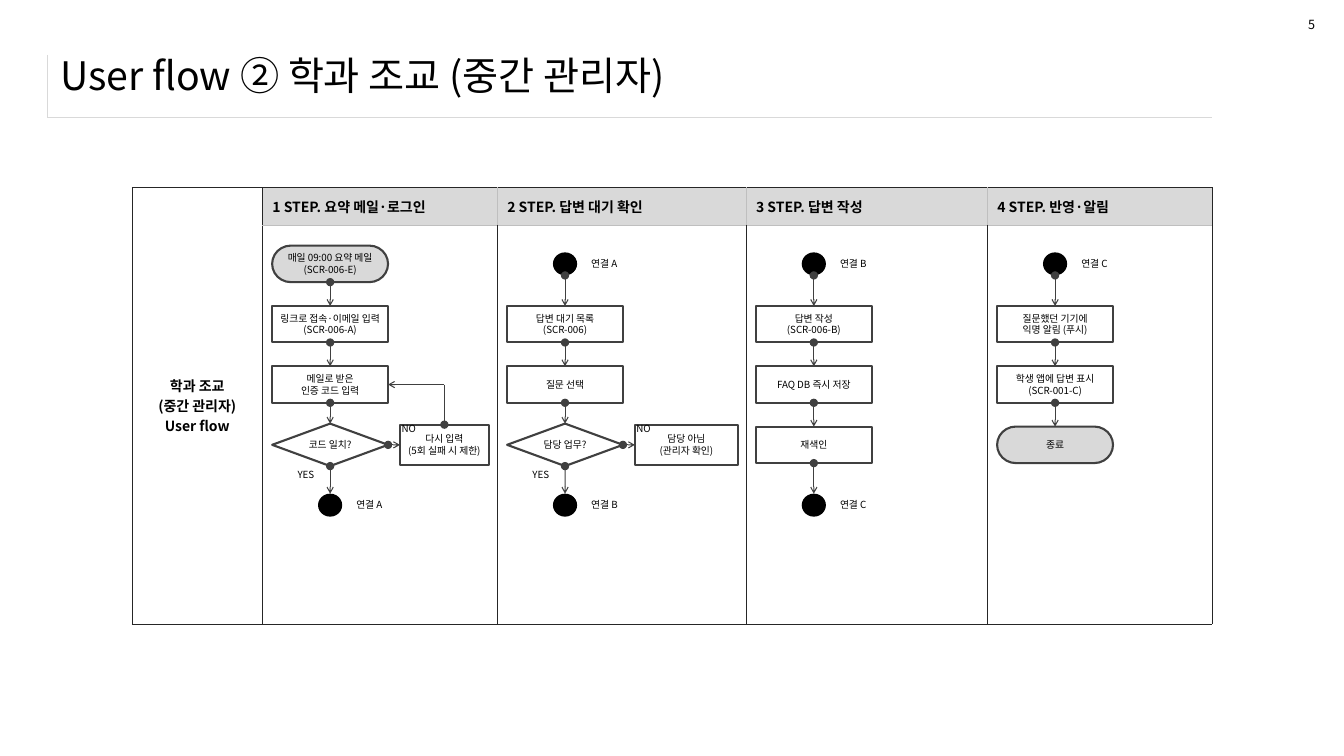
from dataclasses import dataclass
from itertools import accumulate

from lxml.etree import SubElement
from pptx import Presentation
from pptx.dml.color import RGBColor
from pptx.enum.shapes import MSO_CONNECTOR, MSO_SHAPE as Preset
from pptx.enum.text import MSO_ANCHOR as Anchor, MSO_AUTO_SIZE as AutoSize, PP_ALIGN as Align
from pptx.oxml.ns import qn
from pptx.util import Cm, Pt


@dataclass(frozen=True)
class Theme:
    font: str = "Noto Sans CJK KR"
    ink: str = "000000"
    paper: str = "FFFFFF"
    shade: str = "D9D9D9"
    outline: str = "404040"
    grid: str = "262626"
    soft_grid: str = "BFBFBF"
    title: float = 28
    heading: float = 10
    number: float = 9
    small: float = 7


theme = Theme()

deck = Presentation()
deck.slide_width, deck.slide_height = Cm(33.87), Cm(19.05)
page = deck.slides.add_slide(deck.slide_layouts[5])
shapes = page.shapes


def write(frame, lines, size, bold=False, align=Align.LEFT, **layout):
    """Fill a text frame with one paragraph per line; layout holds frame attributes."""
    for name, value in layout.items():
        setattr(frame, name, value)
    for index, line in enumerate(lines):
        para = frame.add_paragraph() if index else frame.paragraphs[0]
        para.alignment = align
        span = para.add_run()
        span.text = line
        for name, value in {"name": theme.font, "size": Pt(size), "bold": bold}.items():
            setattr(span.font, name, value)
        span.font.color.rgb = RGBColor.from_string(theme.ink)
        SubElement(span.font._element, qn("a:ea"), typeface=theme.font)


def add_node(kind, lines, center, middle, width, height):
    preset, fill = kinds[kind]
    node = shapes.add_shape(preset, Cm(center - width / 2), Cm(middle - height / 2),
                            Cm(width), Cm(height))
    node.shadow.inherit = False
    node.fill.solid()
    node.fill.fore_color.rgb = RGBColor.from_string(fill)
    if kind == "dot":
        node.line.fill.background()
        return node
    node.line.color.rgb = RGBColor.from_string(theme.outline)
    node.line.width = Pt(1.5)
    write(node.text_frame, lines, theme.small, align=Align.CENTER, word_wrap=True,
          vertical_anchor=Anchor.MIDDLE, margin_left=Cm(0.08), margin_right=Cm(0.08))
    return node


# Title
title = shapes.title
for name, value in {"left": Cm(1.27), "top": Cm(1.04), "width": Cm(31.72), "height": Cm(1.7)}.items():
    setattr(title, name, value)
write(title.text_frame, ["User flow ② 학과 조교 (중간 관리자)"], theme.title,
      word_wrap=True, auto_size=AutoSize.NONE, vertical_anchor=Anchor.MIDDLE)

# Title rule and step table
title_rule = shapes.add_table(1, 1, Cm(1.19), Cm(1.38), Cm(29.36), Cm(1.58)).table

table_left, table_top = 3.33, 4.72
column_widths = [3.28, 5.92, 6.27, 6.08, 5.67]
row_heights = [0.95, 10.05]
step_table = shapes.add_table(2, 5, Cm(table_left), Cm(table_top),
                              Cm(sum(column_widths)), Cm(sum(row_heights))).table
for column, width in zip(step_table.columns, column_widths):
    column.width = Cm(width)
for row, height in zip(step_table.rows, row_heights):
    row.height = Cm(height)
step_table.cell(0, 0).merge(step_table.cell(1, 0))
for table in (title_rule, step_table):
    table.first_row = table.horz_banding = False

# Cell borders in the order left, right, top, bottom
dark, soft = theme.grid, theme.soft_grid
cells = [(title_rule.cell(0, 0), (theme.shade, None, None, theme.shade), None)]
for column in range(5):
    head_sides = (dark if column < 2 else soft, dark if column in (0, 4) else soft,
                  dark, soft if column else dark)
    body_sides = (dark, dark, soft if column else dark, dark)
    cells.append((step_table.cell(0, column), head_sides, theme.shade if column else None))
    cells.append((step_table.cell(1, column), body_sides, None))
for cell, sides, fill in cells:
    properties = cell._tc.get_or_add_tcPr()
    for tag, color in zip(("a:lnL", "a:lnR", "a:lnT", "a:lnB"), sides):
        border = SubElement(properties, qn(tag), w=str(Pt(0.25)))
        if color:
            SubElement(SubElement(border, qn("a:solidFill")), qn("a:srgbClr"), val=color)
        else:
            SubElement(border, qn("a:noFill"))
    if fill:
        cell.fill.solid()
        cell.fill.fore_color.rgb = RGBColor.from_string(fill)
    else:
        cell.fill.background()

headings = [
    ["학과 조교", "(중간 관리자)", "User flow"],
    ["1 STEP. 요약 메일·로그인"],
    ["2 STEP. 답변 대기 확인"],
    ["3 STEP. 답변 작성"],
    ["4 STEP. 반영·알림"],
]
for column, lines in enumerate(headings):
    cell = step_table.cell(0, column)
    cell.vertical_anchor = Anchor.MIDDLE
    write(cell.text_frame, lines, theme.heading, bold=True,
          align=Align.LEFT if column else Align.CENTER)

# Flow of each step, from top to bottom
kinds = {
    "end": (Preset.FLOWCHART_TERMINATOR, theme.shade),
    "task": (Preset.FLOWCHART_PROCESS, theme.paper),
    "choice": (Preset.FLOWCHART_DECISION, theme.paper),
    "dot": (Preset.FLOWCHART_CONNECTOR, theme.ink),
}
sizes = {"end": (2.92, 0.92), "task": (2.92, 0.92), "choice": (2.92, 1.07), "dot": (0.61, 0.58)}
steps = [
    [("end", ["매일 09:00 요약 메일", "(SCR-006-E)"]),
     ("task", ["링크로 접속·이메일 입력", "(SCR-006-A)"]),
     ("task", ["메일로 받은", "인증 코드 입력"]),
     ("choice", ["코드 일치?"]),
     ("dot", ["연결 A"])],
    [("dot", ["연결 A"]),
     ("task", ["답변 대기 목록", "(SCR-006)"]),
     ("task", ["질문 선택"]),
     ("choice", ["담당 업무?"]),
     ("dot", ["연결 B"])],
    [("dot", ["연결 B"]),
     ("task", ["답변 작성", "(SCR-006-B)"]),
     ("task", ["FAQ DB 즉시 저장"]),
     ("task", ["재색인"]),
     ("dot", ["연결 C"])],
    [("dot", ["연결 C"]),
     ("task", ["질문했던 기기에", "익명 알림 (푸시)"]),
     ("task", ["학생 앱에 답변 표시", "(SCR-001-C)"]),
     ("end", ["종료"])],
]
refusals = [(["다시 입력", "(5회 실패 시 제한)"], 2.24), (["담당 아님", "(관리자 확인)"], 2.6)]
first_middle, row_pitch = 6.65, 1.52
centers = [table_left + edge + 1.71 for edge in accumulate(column_widths[:4])]

labels = [("5", 32.72, 0.3, 0.69, theme.number)]
arrows = []
flows = []
for center, step in zip(centers, steps):
    flow = []
    for row, (kind, lines) in enumerate(step):
        middle = first_middle + row * row_pitch
        node = add_node(kind, lines, center, middle, *sizes[kind])
        if kind == "dot":
            labels.append((lines[0], center + 0.41, middle - 0.29, 1.27, theme.small))
        if flow:
            above = flow[-1]
            arrow = shapes.add_connector(MSO_CONNECTOR.STRAIGHT, Cm(center),
                                         above.top + above.height, Cm(center), node.top)
            if step[row - 1][0] != "dot":
                arrow.begin_connect(above, 2)
            arrow.end_connect(node, 0)
            arrows.append((arrow, "oval", "arrow"))
        flow.append(node)
    flows.append(flow)

# Refusal branches
choice_middle = first_middle + 3 * row_pitch
refusal_boxes = []
for center, flow, (lines, width) in zip(centers, flows, refusals):
    box = add_node("task", lines, center + 1.76 + width / 2, choice_middle, width, 1.02)
    arrow = shapes.add_connector(MSO_CONNECTOR.STRAIGHT, 0, 0, 0, 0)
    arrow.begin_connect(flow[3], 3)
    arrow.end_connect(box, 1)
    arrows.append((arrow, "oval", "arrow"))
    labels += [("YES", center - 1.07, choice_middle + 0.48, 1.27, theme.small),
               ("NO", center + 1.55, choice_middle - 0.68, 1.27, theme.small)]
    refusal_boxes.append(box)

# Way back from the retry box to the code entry
retry, code_entry = refusal_boxes[0], flows[0][2]
corner = retry.left + retry.width // 2, code_entry.top + code_entry.height // 2
rise = shapes.add_connector(MSO_CONNECTOR.STRAIGHT, corner[0], retry.top, *corner)
rise.begin_connect(retry, 0)
back = shapes.add_connector(MSO_CONNECTOR.STRAIGHT, *corner, code_entry.left, corner[1])
back.end_connect(code_entry, 3)
arrows += [(rise, "oval", "none"), (back, "none", "arrow")]

for arrow, head, tail in arrows:
    arrow.line.color.rgb = RGBColor.from_string(theme.outline)
    arrow.line.width = Pt(0.75)
    outline = arrow.element.spPr.find(qn("a:ln"))
    SubElement(outline, qn("a:headEnd"), type=head)
    SubElement(outline, qn("a:tailEnd"), type=tail, w="sm", len="sm")
    SubElement(arrow.element.spPr, qn("a:effectLst"))

for text, left, top, width, size in labels:
    label = shapes.add_textbox(Cm(left), Cm(top), Cm(width), Cm(0.51))
    write(label.text_frame, [text], size, word_wrap=False, auto_size=AutoSize.SHAPE_TO_FIT_TEXT)

deck.save("out.pptx")
